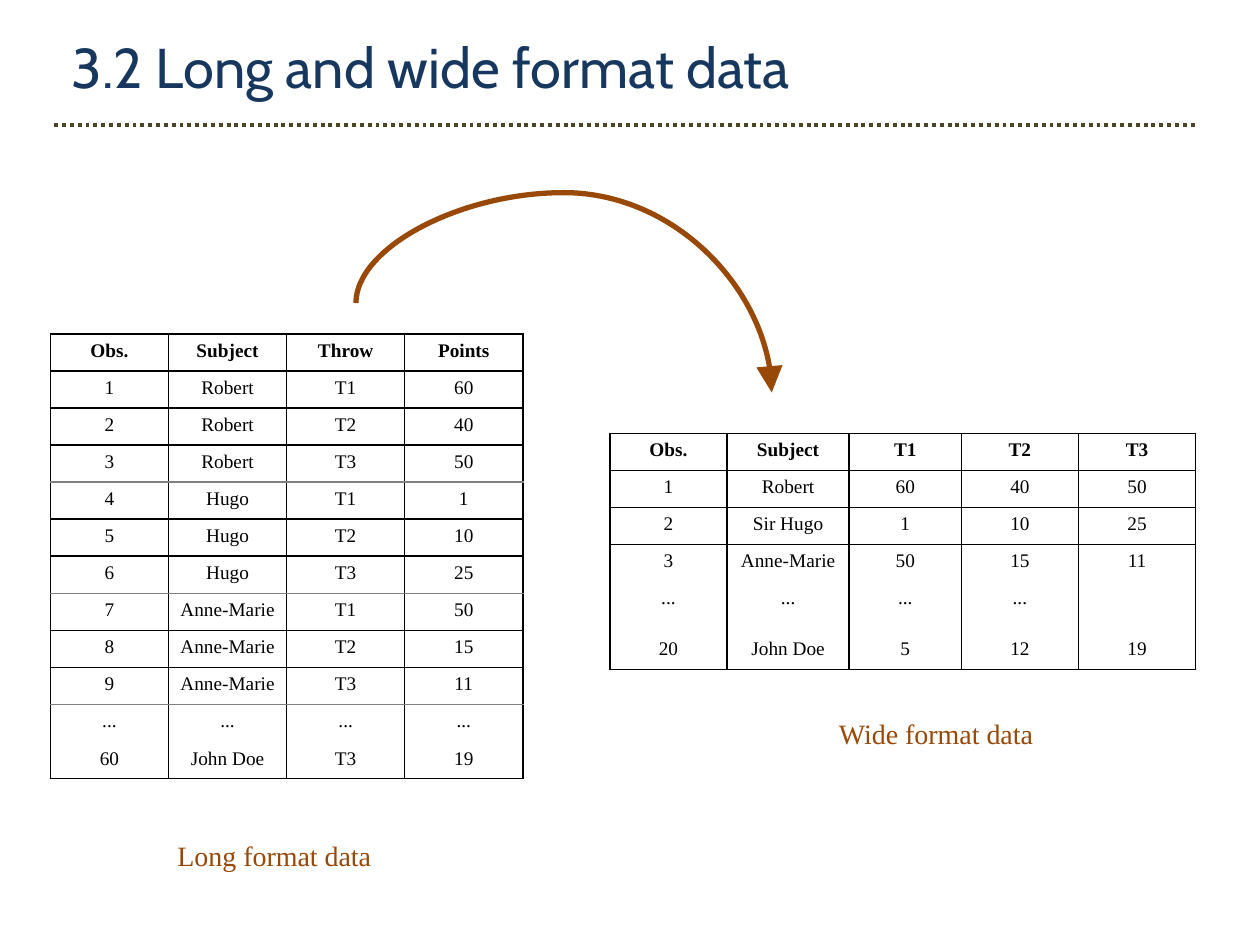
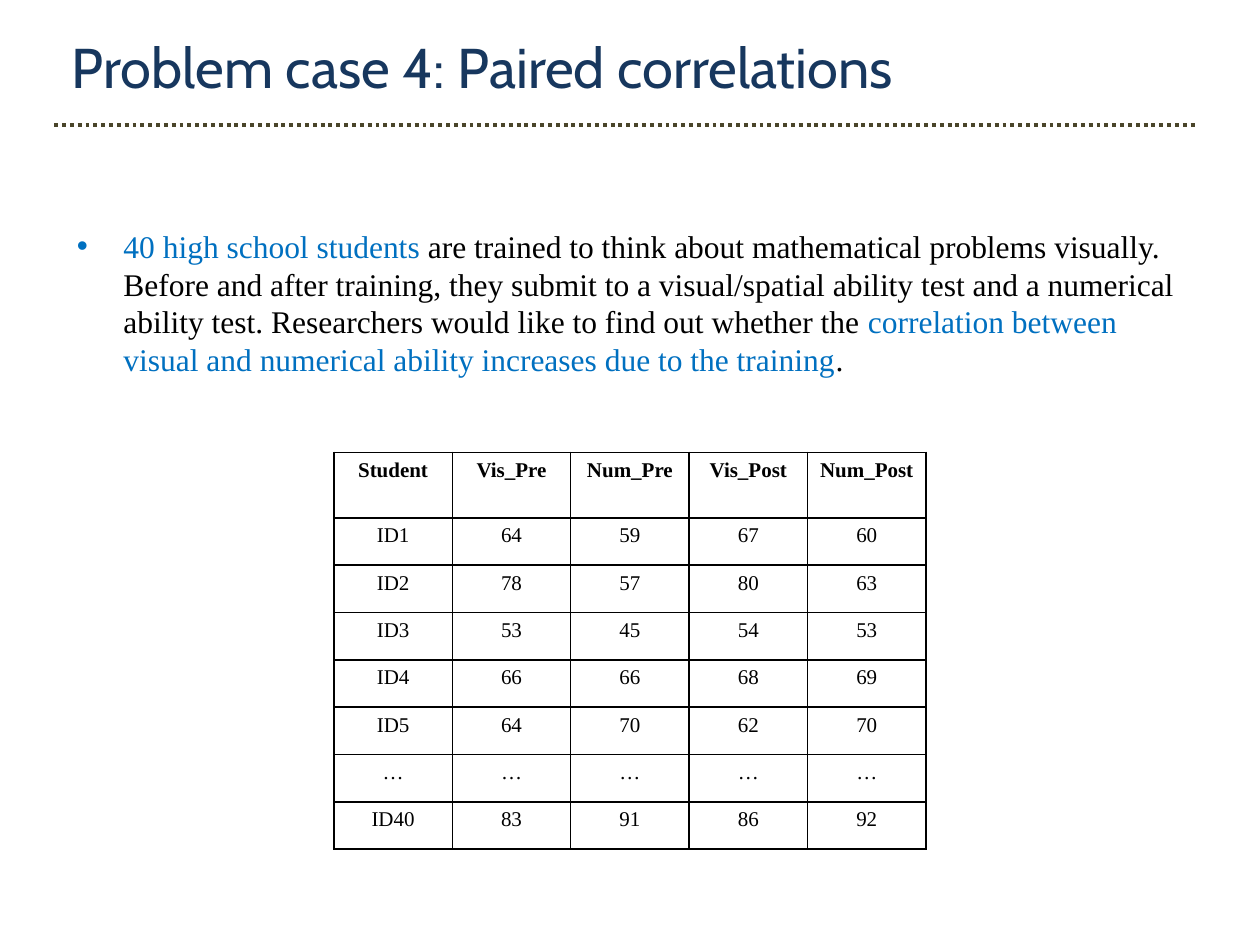
from lxml.etree import SubElement
from pptx import Presentation
from pptx.dml.color import RGBColor
from pptx.enum.dml import MSO_LINE
from pptx.enum.shapes import MSO_CONNECTOR
from pptx.enum.text import MSO_ANCHOR, MSO_AUTO_SIZE, PP_ALIGN
from pptx.oxml.ns import qn
from pptx.util import Inches, Pt

NAVY = RGBColor(0x17, 0x37, 0x5E)
OLIVE = RGBColor(0x4A, 0x45, 0x2A)
BROWN = RGBColor(0x98, 0x48, 0x07)
BLUE = RGBColor(0x00, 0x70, 0xC0)
BLACK = RGBColor(0, 0, 0)
GREY = RGBColor(0x80, 0x80, 0x80)

HEAD_FONT = "Cabin"
TEXT_FONT = "Times New Roman"
PLAIN_GRID = "{2D5ABB26-0587-4C30-8999-92F81FD0307C}"

LONG_ROWS = [
    ["Obs.", "Subject", "Throw", "Points"],
    ["1", "Robert", "T1", "60"],
    ["2", "Robert", "T2", "40"],
    ["3", "Robert", "T3", "50"],
    ["4", "Hugo", "T1", "1"],
    ["5", "Hugo", "T2", "10"],
    ["6", "Hugo", "T3", "25"],
    ["7", "Anne-Marie", "T1", "50"],
    ["8", "Anne-Marie", "T2", "15"],
    ["9", "Anne-Marie", "T3", "11"],
    ["..."] * 4,
    ["60", "John Doe", "T3", "19"],
]
WIDE_ROWS = [
    ["Obs.", "Subject", "T1", "T2", "T3"],
    ["1", "Robert", "60", "40", "50"],
    ["2", "Sir Hugo", "1", "10", "25"],
    ["3", "Anne-Marie", "50", "15", "11"],
    ["...", "...", "...", "...", ""],
    ["20", "John Doe", "5", "12", "19"],
]
SCORE_ROWS = [
    ["Student", "Vis_Pre", "Num_Pre", "Vis_Post", "Num_Post"],
    ["ID1", "64", "59", "67", "60"],
    ["ID2", "78", "57", "80", "63"],
    ["ID3", "53", "45", "54", "53"],
    ["ID4", "66", "66", "68", "69"],
    ["ID5", "64", "70", "62", "70"],
    ["…"] * 5,
    ["ID40", "83", "91", "86", "92"],
]
CASE = [
    ("40 high school students ", BLUE),
    ("are trained to think about mathematical problems visually. Before and "
     "after training, they submit to a visual/spatial ability test and a "
     "numerical ability test. Researchers would like to find out whether the ",
     BLACK),
    ("correlation between visual and numerical ability increases due to the "
     "training", BLUE),
    (".", BLACK),
]


def place(shape, left, top, width, height):
    shape.left, shape.top = Inches(left), Inches(top)
    shape.width, shape.height = Inches(width), Inches(height)


def style(run, size, color, font=TEXT_FONT, bold=False):
    run.font.name, run.font.size = font, Pt(size)
    run.font.bold, run.font.color.rgb = bold, color


def add_line(slide, kind, start, end, color, width):
    line = slide.shapes.add_connector(kind, *map(Inches, start + end))
    line.line.color.rgb, line.line.width = color, Pt(width)
    SubElement(line._element.spPr, qn("a:effectLst"))
    return line


def add_slide(deck, layout, title):
    """Slide with its title and the dotted rule below."""
    slide = deck.slides.add_slide(deck.slide_layouts[layout])
    head = slide.shapes.title
    place(head, 0.47, 0.21, 8.94, 0.63)
    frame = head.text_frame
    frame.text = title
    frame.auto_size = MSO_AUTO_SIZE.NONE
    frame.vertical_anchor = MSO_ANCHOR.MIDDLE
    frame.paragraphs[0].alignment = PP_ALIGN.LEFT
    style(frame.paragraphs[0].runs[0], 32, NAVY, HEAD_FONT)
    rule = add_line(slide, MSO_CONNECTOR.STRAIGHT, (0.43, 0.99), (9.49, 0.99),
                    OLIVE, 2.25)
    rule.line.dash_style = MSO_LINE.ROUND_DOT
    return slide


def add_edge(cell, side, color):
    edge = SubElement(cell._tc.get_or_add_tcPr(), qn("a:ln" + side),
                      w=str(Pt(0.96)))
    if color is None:
        SubElement(edge, qn("a:noFill"))
    else:
        fill = SubElement(edge, qn("a:solidFill"))
        SubElement(fill, qn("a:srgbClr"), val=str(color))


def add_grid(slide, rows, at, widths, heights, size, rules=None):
    """Table with black edges; rules gives other colours by row boundary."""
    rules = rules or {}
    frame = slide.shapes.add_table(
        len(rows), len(widths), Inches(at[0]), Inches(at[1]),
        Inches(sum(widths)), Inches(sum(heights)))
    table = frame.table
    table.first_row = table.horz_banding = False
    table._tbl.tblPr.find(qn("a:tableStyleId")).text = PLAIN_GRID
    for col, width in zip(table.columns, widths):
        col.width = Inches(width)
    for r, (row, height) in enumerate(zip(rows, heights)):
        table.rows[r].height = Inches(height)
        for c, text in enumerate(row):
            cell = table.cell(r, c)
            cell.text = text
            cell.vertical_anchor = MSO_ANCHOR.TOP
            cell.margin_left = cell.margin_right = Inches(0.05)
            para = cell.text_frame.paragraphs[0]
            para.alignment = PP_ALIGN.CENTER
            for run in para.runs:
                style(run, size, BLACK, bold=r == 0)
            for side in "LR":
                add_edge(cell, side, BLACK)
            add_edge(cell, "T", rules.get(r, BLACK))
            add_edge(cell, "B", rules.get(r + 1, BLACK))
            cell.fill.background()


def add_label(slide, text, left, top):
    box = slide.shapes.add_textbox(Inches(left), Inches(top), Inches(1.74),
                                   Inches(0.36))
    box.text_frame.word_wrap = False
    box.text_frame.text = text
    style(box.text_frame.paragraphs[0].runs[0], 16, BROWN)


def add_arc(slide):
    """Curved arrow: an upright S-curve turned by 270 degrees."""
    arc = add_line(slide, MSO_CONNECTOR.CURVE, (4.83, 1.11), (4.12, 4.41),
                   BROWN, 3)
    props = arc._element.spPr
    props.find(qn("a:xfrm")).set("rot", str(270 * 60000))
    bends = props.find(qn("a:prstGeom")).find(qn("a:avLst"))
    SubElement(bends, qn("a:gd"), name="adj1", fmla="val -123500")
    SubElement(props.find(qn("a:ln")), qn("a:tailEnd"), type="triangle",
               w="lg", len="lg")


def fill_body(body, parts):
    """One bulleted paragraph made of coloured parts."""
    place(body, 0.5, 1.75, 9, 4.99)
    frame = body.text_frame
    frame.auto_size = MSO_AUTO_SIZE.NONE
    para = frame.paragraphs[0]
    para.space_before = Pt(3.6)
    for text, color in parts:
        run = para.add_run()
        run.text = text
        style(run, 18, color)
    props = para._p.get_or_add_pPr()
    props.set("marL", str(Inches(0.38)))
    props.set("indent", str(Inches(-0.37)))
    tint = SubElement(props, qn("a:buClr"))
    SubElement(tint, qn("a:srgbClr"), val=str(BLUE))
    SubElement(props, qn("a:buFont"), typeface="Arial")
    SubElement(props, qn("a:buChar"), char="•")


def main():
    deck = Presentation()
    deck.slide_width, deck.slide_height = Inches(10), Inches(7.5)

    # Long and wide tables
    slide = add_slide(deck, 5, "3.2 Long and wide format data")
    add_grid(slide, LONG_ROWS, (0.4, 2.65), [3.75 / 4] * 4, [3.53 / 12] * 12,
             11, {4: GREY, 7: GREY, 10: GREY, 11: None})
    add_grid(slide, WIDE_ROWS, (4.84, 3.44), [0.93, 0.97, 0.89, 0.93, 0.93],
             [1.76 / 6] * 6, 11, {4: None, 5: None})
    add_arc(slide)
    add_label(slide, "Long format data", 1.31, 6.61)
    add_label(slide, "Wide format data", 6.56, 5.64)

    # Paired correlations
    slide = add_slide(deck, 1, "Problem case 4: Paired correlations")
    fill_body(slide.placeholders[1], CASE)
    add_grid(slide, SCORE_ROWS, (2.65, 3.59), [0.94] * 5,
             [0.52] + [2.63 / 7] * 7, 12)

    deck.save("out.pptx")


if __name__ == "__main__":
    main()
